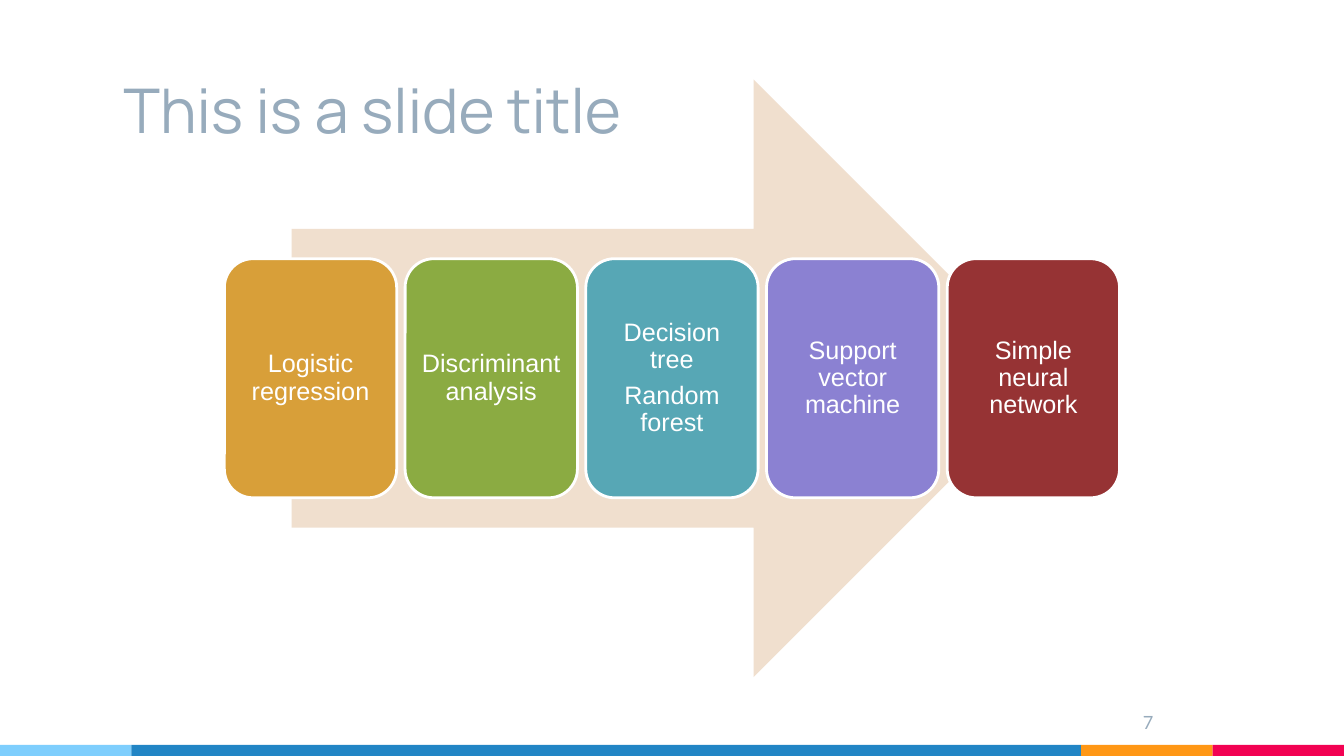
from pptx import Presentation
from pptx.dml.color import RGBColor
from pptx.enum import shapes, text
from pptx.util import Pt

WHITE = RGBColor(0xFF, 0xFF, 0xFF)
SLATE = RGBColor(0x97, 0xAB, 0xBC)
SAND = RGBColor(0xF0, 0xDF, 0xCE)
SKY = RGBColor(0x7E, 0xCE, 0xFD)
BLUE = RGBColor(0x21, 0x85, 0xC5)
ORANGE = RGBColor(0xFF, 0x97, 0x15)
PINK = RGBColor(0xF2, 0x02, 0x53)
GOLD = RGBColor(0xD8, 0x9F, 0x39)
GREEN = RGBColor(0x8B, 0xAB, 0x42)
TEAL = RGBColor(0x57, 0xA7, 0xB5)
VIOLET = RGBColor(0x8B, 0x81, 0xD2)
RED = RGBColor(0x96, 0x33, 0x34)

KIND = shapes.MSO_SHAPE
ALIGN = text.PP_ALIGN
ANCHOR = text.MSO_ANCHOR

CARDS = [
    (GOLD, ["Logistic regression"]),
    (GREEN, ["Discriminant analysis"]),
    (TEAL, ["Decision tree", "Random forest"]),
    (VIOLET, ["Support vector machine"]),
    (RED, ["Simple neural network"]),
]


def add_block(slide, kind, box, fill, edge=None):
    shape = slide.shapes.add_shape(kind, *map(Pt, box))
    shape.shadow.inherit = False
    shape.fill.solid()
    shape.fill.fore_color.rgb = fill
    if edge is None:
        shape.line.fill.background()
    else:
        shape.line.color.rgb = edge
        shape.line.width = Pt(2)
    return shape


def set_text(shape, lines, font, size, color, align, anchor, inset):
    frame = shape.text_frame
    frame.word_wrap = True
    frame.vertical_anchor = anchor
    frame.margin_left = frame.margin_right = Pt(inset)
    frame.margin_top = frame.margin_bottom = Pt(inset)
    frame.text = "\n".join(lines)
    for para in frame.paragraphs:
        para.alignment = align
        para.font.name = font
        para.font.size = Pt(size)
        para.font.color.rgb = color
    return frame


def add_strip(slide, box):
    """Colour bar: two short end pieces on the right, one on the left."""
    left, top, width, height = box
    end = 93.9
    for color, wide in [(SKY, end), (BLUE, width - 3 * end),
                        (ORANGE, end), (PINK, end)]:
        add_block(slide, KIND.RECTANGLE, (left, top, wide, height), color)
        left += wide


def add_title(slide, box):
    label = slide.shapes.add_textbox(*map(Pt, box))
    set_text(label, ["This is a slide title"], "Manrope", 44, SLATE,
             ALIGN.LEFT, ANCHOR.BOTTOM, 7.2)


def add_number(slide, box):
    label = slide.shapes.add_textbox(*map(Pt, box))
    set_text(label, ["7"], "Lato", 13, SLATE,
             ALIGN.RIGHT, ANCHOR.TOP, 7.2)


def add_process(slide, box):
    """Row of cards over an arrow that spans 85% of the box."""
    left, top, width, height = box
    inset = width * 0.075
    add_block(slide, KIND.RIGHT_ARROW,
              (left + inset, top, width - 2 * inset, height), SAND)
    gap = 6
    wide = (width - gap * (len(CARDS) - 1)) / len(CARDS)
    tall = height * 0.4
    for i, (color, lines) in enumerate(CARDS):
        place = (left + i * (wide + gap), top + (height - tall) / 2, wide, tall)
        card = add_block(slide, KIND.ROUNDED_RECTANGLE, place, color, WHITE)
        frame = set_text(card, lines, "Arial", 18, WHITE,
                         ALIGN.CENTER, ANCHOR.MIDDLE, 5)
        for para in frame.paragraphs:
            para.line_spacing = 0.9
            para.space_after = Pt(6.3)


def main():
    deck = Presentation()
    deck.slide_width, deck.slide_height = Pt(960), Pt(540)
    slide = deck.slides.add_slide(deck.slide_layouts[6])
    add_strip(slide, (0, 532, 960, 8))
    add_title(slide, (81, 21.6, 808.5, 90))
    add_number(slide, (787.7, 501, 43.2, 33))
    add_process(slide, (160.3, 56.7, 639.4, 427))
    deck.save("out.pptx")


if __name__ == "__main__":
    main()
